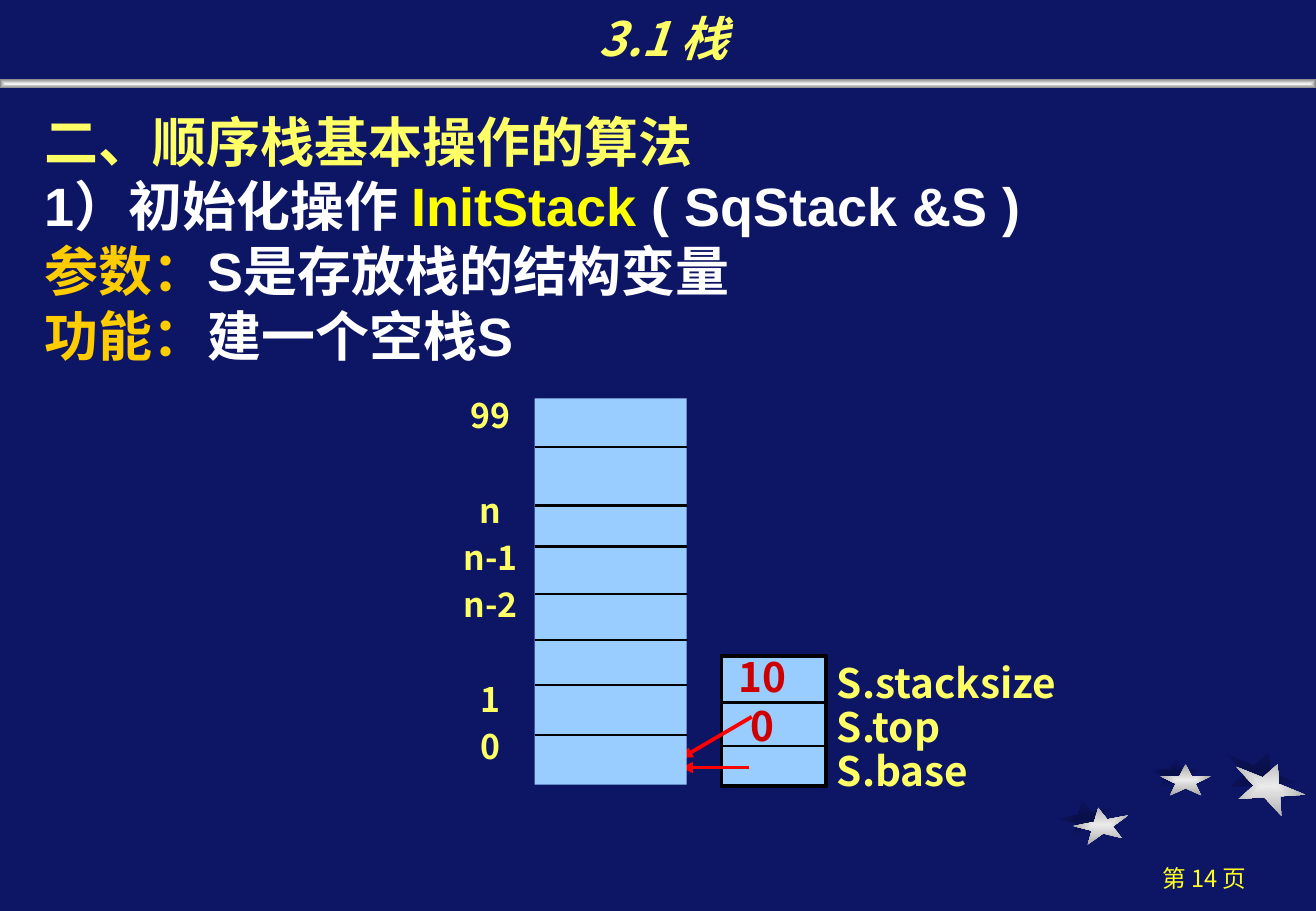
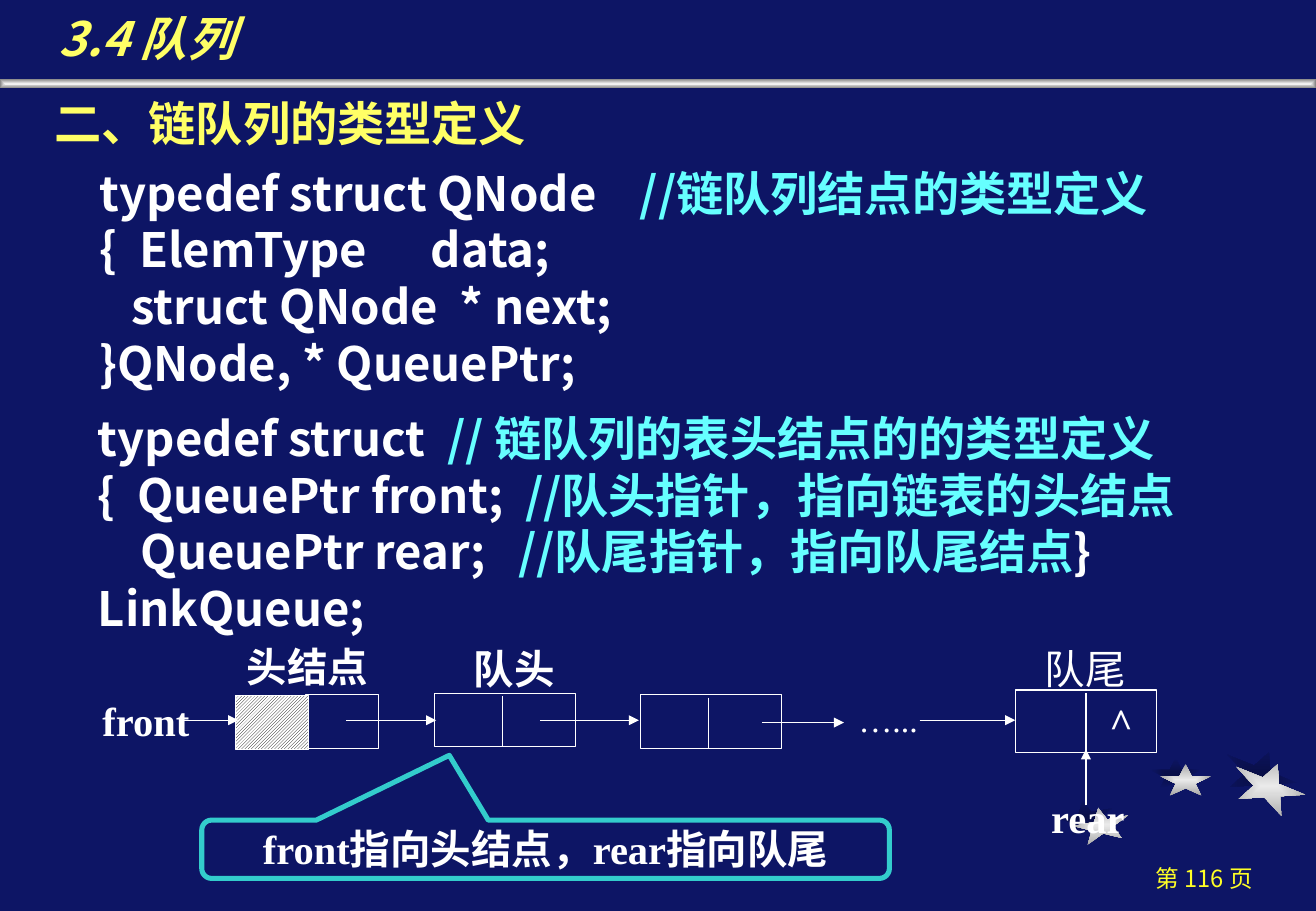
from lxml import etree
from pptx import Presentation
from pptx import util as u
from pptx.dml.color import RGBColor
from pptx.enum import dml, shapes, text
from pptx.oxml.ns import qn

Cm = u.Cm
COLORS = {
    "background": "0D1565", "star_shadow": "090F48", "star_light": "EAEAEA",
    "star_dark": "A7A7A7", "band_light": "F2F2F2", "band_dark": "808080",
    "heading": "FFFF66", "page": "FFFF25", "function": "FFFF00",
    "keyword": "FFCC00", "comment": "66FFFF", "white": "FFFFFF",
    "black": "000000", "cell": "99CCFF", "value": "CC0000",
    "pointer": "FF0000", "callout": "33CCCC",
}
SANS, ARIAL, SERIF = "Noto Sans CJK SC", "Arial", "Times New Roman"
SLIDE_WIDTH, SLIDE_HEIGHT = 27.52, 19.05
LINE_RATIO = 1.2
FRAME = {"word_wrap": True, "margin_left": Cm(0.25), "margin_right": Cm(0.25),
         "margin_top": Cm(0.13), "margin_bottom": Cm(0.13)}
CENTER = text.PP_ALIGN.CENTER
MIDDLE = text.MSO_ANCHOR.MIDDLE
SHAPE = shapes.MSO_SHAPE


def color(name):
    return RGBColor.from_string(COLORS[name])


def set_all(target, values):
    for name, value in values.items():
        setattr(target, name, value)


def write(frame, lines, size, font=SANS, ink="white", bold=True, italic=False,
          align=None, ratio=LINE_RATIO, spaces=(), tabs=(), **frame_values):
    """Each line is a list of (text, colour name) runs, or one plain string."""
    set_all(frame, {**FRAME, **frame_values})
    for index, line in enumerate(lines):
        paragraph = frame.paragraphs[0] if index == 0 else frame.add_paragraph()
        if index < len(tabs) and tabs[index]:
            tab_list = etree.SubElement(paragraph._p.get_or_add_pPr(), qn("a:tabLst"))
            for stop in tabs[index]:
                etree.SubElement(tab_list, qn("a:tab"), pos=str(Cm(stop)), algn="l")
        set_all(paragraph, {"alignment": align, "line_spacing": u.Pt(round(size * ratio, 1))})
        if index and spaces:
            paragraph.space_before = u.Pt(spaces[index])
        for words, run_ink in ([(line, ink)] if isinstance(line, str) else line):
            run = paragraph.add_run()
            run.text = words
            set_all(run.font, {"size": u.Pt(size), "bold": bold, "italic": italic, "name": font})
            run.font.color.rgb = color(run_ink)
            etree.SubElement(run._r.get_or_add_rPr(), qn("a:ea"), typeface=SANS)


def add_text(slide, box, lines, size, **values):
    shape = slide.shapes.add_textbox(*map(Cm, box))
    write(shape.text_frame, lines, size, **values)


def add_box(slide, box, kind=SHAPE.RECTANGLE, fill=None, line=None, width=0.75):
    shape = slide.shapes.add_shape(kind, *map(Cm, box))
    shape.shadow.inherit = False
    if fill:
        shape.fill.solid()
        shape.fill.fore_color.rgb = color(fill)
    else:
        shape.fill.background()
    if line:
        shape.line.color.rgb = color(line)
        shape.line.width = u.Pt(width)
    else:
        shape.line.fill.background()
    return shape


def add_line(slide, start, end, ink, width, arrow=False):
    line = slide.shapes.add_connector(shapes.MSO_CONNECTOR.STRAIGHT, *map(Cm, (*start, *end)))
    line.line.color.rgb = color(ink)
    line.line.width = u.Pt(width)
    if arrow:
        etree.SubElement(line.line._get_or_add_ln(), qn("a:tailEnd"), type="triangle")
    etree.SubElement(line._element.spPr, qn("a:effectLst"))


def shade_from_center(shape, inner, outer):
    shape.fill.gradient()
    for stop, name, position in zip(shape.fill.gradient_stops, (inner, outer), (0, 1)):
        stop.color.rgb = color(name)
        stop.position = position
    gradient = shape._element.spPr.find(qn("a:gradFill"))
    radial = etree.Element(qn("a:path"))
    radial.set("path", "shape")
    etree.SubElement(radial, qn("a:fillToRect"), {side: "50000" for side in "ltrb"})
    gradient.replace(gradient.find(qn("a:lin")), radial)


def add_base_slide(presentation, title, page, align=None):
    """Background, stars, page number, band and title shared by all slides."""
    slide = presentation.slides.add_slide(presentation.slide_layouts[6])
    slide.background.fill.solid()
    slide.background.fill.fore_color.rgb = color("background")
    # Stars: size, rotation, shadow corner, star corner
    stars = [((1.17, 0.71), 349, (22.12, 16.74), (22.45, 16.89)),
             ((1.07, 0.66), 0, (24.05, 15.85), (24.26, 15.98)),
             ((1.55, 0.97), 22, (25.58, 15.7), (25.76, 15.95))]
    for layer, inner, outer in ((2, "star_shadow", "background"), (3, "star_light", "star_dark")):
        for star in stars:
            shape = add_box(slide, star[layer] + star[0], SHAPE.STAR_5_POINT)
            shape.rotation = star[1]
            shade_from_center(shape, inner, outer)
    add_text(slide, (22.86, 17.93, 4.65, 0.84), [f"第 {page} 页"], 14,
             ink="page", bold=False, align=CENTER)
    shade_from_center(add_box(slide, (0, 1.65, SLIDE_WIDTH, 0.2)), "band_light", "band_dark")
    add_text(slide, (0.97, 0, 25.8, 1.52), [title], 28, ink="heading", italic=True,
             align=align, vertical_anchor=text.MSO_ANCHOR.BOTTOM)
    return slide


def add_cells(slide, box, dividers, line=None):
    """A filled column cut by horizontal dividers."""
    left, top, width, _ = box
    add_box(slide, box, fill="cell", line=line, width=2.25)
    for offset in dividers:
        add_line(slide, (left, top + offset), (left + width, top + offset), "black", 1.5)


def add_stack_record(slide, left, top):
    """The three fields of the stack and their names."""
    add_text(slide, (left + 2.16, top + 0.02, 5.51, 3),
             ["S.stacksize", "S.top", "S.base"], 24, ink="heading", ratio=1.08)
    add_cells(slide, (left, top, 2.18, 2.72), (0.97, 1.88), line="black")
    add_text(slide, (left - 0.13, top - 0.21, 1.98, 1.27), ["100"], 24,
             ink="value", align=CENTER)
    for start, end in (((0.58, 2.33), (-0.84, 2.33)), ((0.63, 1.27), (-0.84, 2.13))):
        add_line(slide, (left + start[0], top + start[1]),
                 (left + end[0], top + end[1]), "pointer", 2.25, arrow=True)


def add_stack_array(slide, left, top):
    """The array with its index labels; wider gaps skip unlabelled cells."""
    add_text(slide, (left - 2.42, top - 0.2, 3, 8.2), ["99", "n", "n-1", "n-2", "1", "0"],
             20, ink="heading", align=CENTER, spaces=(0, 32, 4, 4, 32, 4))
    add_cells(slide, (left, top, 3.18, 8.08), (1.02, 2.24, 3.1, 4.09, 5.05, 5.99, 7.04))


def build_stack_slide(presentation):
    slide = add_base_slide(presentation, "3.1 栈", 14, CENTER)
    add_text(slide, (0.69, 2.13, 26.11, 6.4), [
        [("二、顺序栈基本操作的算法", "heading")],
        [("1）初始化操作 ", "white"), ("InitStack ", "function"), ("( SqStack &S )", "white")],
        [("参数：", "keyword"), ("S是存放栈的结构变量", "white")],
        [("功能：", "keyword"), ("建一个空栈S", "white")],
    ], 32, font=ARIAL)
    add_stack_record(slide, 15.09, 13.72)
    add_stack_array(slide, 11.18, 8.33)


def add_linked_queue(slide, left, top):
    """Nodes, pointers and labels of the linked queue."""
    def place(x, y, *size):
        return (left + x, top + y, *size)

    # Head node
    add_box(slide, place(4.52, 1.23, 1.52, 1.12), line="white")
    head = add_box(slide, place(3.05, 1.25, 1.52, 1.12), line="white")
    head.fill.patterned()
    head.fill.pattern = dml.MSO_PATTERN.LIGHT_UPWARD_DIAGONAL
    head.fill.fore_color.rgb = color("black")
    head.fill.back_color.rgb = color("white")
    # Data nodes; the last one holds the null mark
    for x, y, height, divider in ((7.21, 1.2, 1.12, 1.42), (11.51, 1.23, 1.12, 1.42),
                                  (19.35, 1.13, 1.3, 1.48)):
        node = add_box(slide, place(x, y, 2.95, height), line="white")
        add_line(slide, place(x + divider, y + 0.06), place(x + divider, y + height),
                 "white", 0.75)
    write(node.text_frame, ["^"], 24, font=SERIF, align=CENTER, vertical_anchor=MIDDLE,
          margin_left=Cm(1.48), margin_right=0)
    # Pointers
    for start, end in (((1.93, 1.76), (3.1, 1.76)), ((5.36, 1.76), (7.24, 1.76)),
                       ((9.42, 1.76), (11.48, 1.76)), ((14.05, 1.81), (15.77, 1.81)),
                       ((17.35, 1.76), (19.35, 1.76)), ((20.83, 3.54), (20.83, 2.37))):
        add_line(slide, place(*start), place(*end), "white", 0.75, arrow=True)
    # Labels
    for words, x, y, width, size, bold in (
            ("头结点", 3.02, 0, 3.07, 24, True), ("队头", 7.77, 0.05, 2.21, 24, True),
            ("队尾", 19.71, 0.05, 2.21, 24, False), ("front", 0, 1.13, 2.34, 24, True),
            ("rear", 19.84, 3.16, 2.06, 24, True), ("…...", 15.82, 1.18, 1.75, 20, False)):
        add_text(slide, place(x, y, width, 1.27 if size == 24 else 1.09), [words], size,
                 font=SERIF, bold=bold, align=CENTER, vertical_anchor=MIDDLE, word_wrap=False)


def add_callout(slide, box, words):
    callout = add_box(slide, box, SHAPE.ROUNDED_RECTANGULAR_CALLOUT, line="callout", width=3)
    for index, value in enumerate((-0.14, -1.61, 0.17)):
        callout.adjustments[index] = value
    write(callout.text_frame, [words], 24, font=SERIF, align=CENTER, vertical_anchor=MIDDLE,
          margin_left=0, margin_right=0, margin_top=0, margin_bottom=Cm(0.05))


def build_queue_slide(presentation):
    slide = add_base_slide(presentation, "3.4 队列", 116)
    add_text(slide, (0.89, 1.85, 11.4, 1.45), ["二、链队列的类型定义"], 28, ink="heading")
    # Type definitions
    add_text(slide, (1.83, 3.3, 24.84, 5), [
        [("typedef struct QNode\t", "white"), ("//链队列结点的类型定义", "comment")],
        "{\tElemType\tdata;",
        "   struct QNode\t* next;",
        "}QNode, * QueuePtr;",
    ], 28, tabs=((11.3,), (0.83, 6.93), (7.53,)))
    add_text(slide, (1.8, 8.43, 24.84, 5), [
        [("typedef struct\t", "white"), ("// 链队列的表头结点的的类型定义", "comment")],
        [("{\tQueuePtr front;\t", "white"), ("//队头指针，指向链表的头结点", "comment")],
        [("    QueuePtr rear;\t", "white"), ("//队尾指针，指向队尾结点", "comment"),
         ("}LinkQueue;", "white")],
    ], 28, tabs=((7.3,), (0.82, 8.93), (8.79,)))
    add_linked_queue(slide, 1.88, 13.3)
    add_callout(slide, (4.22, 17.15, 14.38, 1.22), "front指向头结点，rear指向队尾")


def main():
    presentation = Presentation()
    set_all(presentation, {"slide_width": Cm(SLIDE_WIDTH), "slide_height": Cm(SLIDE_HEIGHT)})
    build_stack_slide(presentation)
    build_queue_slide(presentation)
    presentation.save("out.pptx")


if __name__ == "__main__":
    main()
